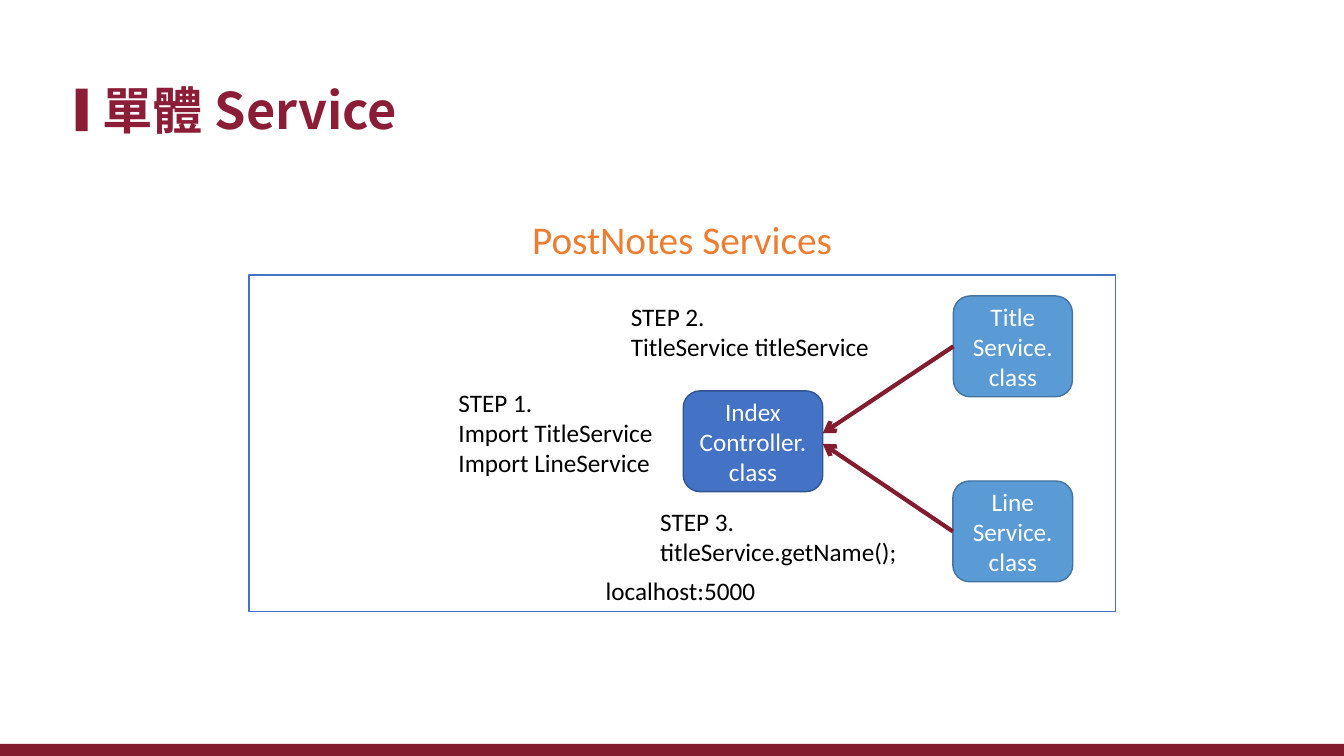
"""Build the single-unit service slide with its class diagram."""
from lxml.etree import SubElement
from pptx import Presentation
from pptx.dml.color import RGBColor
from pptx.enum.shapes import MSO_CONNECTOR, MSO_SHAPE
from pptx.enum.text import MSO_ANCHOR, PP_ALIGN
from pptx.oxml.ns import qn
from pptx.util import Pt

WINE = RGBColor(0x8C, 0x1D, 0x36)
DARK = RGBColor(0x82, 0x1C, 0x2E)
WHITE = RGBColor(0xFF, 0xFF, 0xFF)
BLACK = RGBColor(0x00, 0x00, 0x00)
ORANGE = RGBColor(0xED, 0x7D, 0x31)
BLUE = RGBColor(0x44, 0x72, 0xC4)
NAVY = RGBColor(0x32, 0x54, 0x91)
SKY = RGBColor(0x5B, 0x9B, 0xD5)
STEEL = RGBColor(0x43, 0x73, 0x9E)

BODY = "Calibri"
HEAD = "Noto Sans CJK SC"
WIDTH, HEIGHT = 960, 540

TITLE = "單體 Service"
BARS = [
    ((54, 63.3, 8.7, 30.3), WINE),
    ((0, 531.3, WIDTH, 10.8), DARK),
]
FRAME = (177.8, 196.4, 619.2, 240.5)
LABELS = [
    (["STEP 2.", "TitleService titleService"], (443.5, 211.8, 186.5, 51), 18, BLACK),
    (["STEP 1.", "Import TitleService", "Import LineService"],
     (320.4, 273, 154.8, 72.7), 18, BLACK),
    (["STEP 3.", "titleService.getName();"], (464.5, 358, 185.8, 51), 18, BLACK),
    (["PostNotes Services"], (373, 150.5, 231, 41), 28, ORANGE),
    (["localhost:5000"], (425.5, 407.7, 122.4, 29), 18, BLACK),
]
SERVICES = [
    ("Title Service.class", (681, 211.4, 85, 72), 309.5),
    ("Line Service.class", (680.6, 343.6, 85.7, 72), 317),
]
INDEX = ("Index Controller.class", (488, 279.2, 99.7, 72))


def add_box(slide, kind, place, fill, line=None):
    box = slide.shapes.add_shape(kind, *map(Pt, place))
    box.shadow.inherit = False
    box.fill.solid()
    box.fill.fore_color.rgb = fill
    if line is None:
        box.line.fill.background()
    else:
        box.line.color.rgb = line
        box.line.width = Pt(1)
    return box


def add_lines(shape, lines, size, color, font=BODY, bold=False, align=PP_ALIGN.LEFT):
    frame = shape.text_frame
    for i, text in enumerate(lines):
        para = frame.paragraphs[0] if i == 0 else frame.add_paragraph()
        para.alignment = align
        run = para.add_run()
        run.text = text
        run.font.size = Pt(size)
        run.font.name = font
        run.font.bold = bold
        run.font.color.rgb = color
        east = SubElement(run.font._element, qn("a:ea"))
        east.set("typeface", font)


def add_title(slide):
    box = slide.shapes.add_textbox(*map(Pt, (66.2, 28.8, 828, 104.4)))
    frame = box.text_frame
    frame.word_wrap = True
    frame.vertical_anchor = MSO_ANCHOR.MIDDLE
    add_lines(box, [TITLE], 36, WINE, HEAD, True)
    frame.paragraphs[0].line_spacing = 0.9


def add_label(slide, lines, place, size, color):
    box = slide.shapes.add_textbox(*map(Pt, place))
    box.text_frame.word_wrap = False
    add_lines(box, lines, size, color)


def add_class(slide, text, place, fill, line):
    box = add_box(slide, MSO_SHAPE.ROUNDED_RECTANGLE, place, fill, line)
    box.text_frame.word_wrap = True
    box.text_frame.vertical_anchor = MSO_ANCHOR.MIDDLE
    add_lines(box, [text], 18, WHITE, align=PP_ALIGN.CENTER)
    return box


def add_arrow(slide, box, place, end):
    left, top, _, high = place
    points = (left, top + high / 2, *end)
    arrow = slide.shapes.add_connector(MSO_CONNECTOR.STRAIGHT, *map(Pt, points))
    arrow.begin_connect(box, 1)
    arrow.line.color.rgb = DARK
    arrow.line.width = Pt(3)
    tail = SubElement(arrow.line._get_or_add_ln(), qn("a:tailEnd"))
    tail.set("type", "arrow")
    SubElement(arrow._element.spPr, qn("a:effectLst"))


def main():
    deck = Presentation()
    deck.slide_width, deck.slide_height = Pt(WIDTH), Pt(HEIGHT)
    slide = deck.slides.add_slide(deck.slide_layouts[6])

    for place, color in BARS:
        add_box(slide, MSO_SHAPE.RECTANGLE, place, color)
    add_title(slide)
    add_box(slide, MSO_SHAPE.RECTANGLE, FRAME, WHITE, BLUE)
    for label in LABELS:
        add_label(slide, *label)

    name, spot = INDEX
    add_class(slide, name, spot, BLUE, NAVY)
    edge = spot[0] + spot[2]
    for text, place, end in SERVICES:
        box = add_class(slide, text, place, SKY, STEEL)
        add_arrow(slide, box, place, (edge, end))

    deck.save("out.pptx")


if __name__ == "__main__":
    main()
